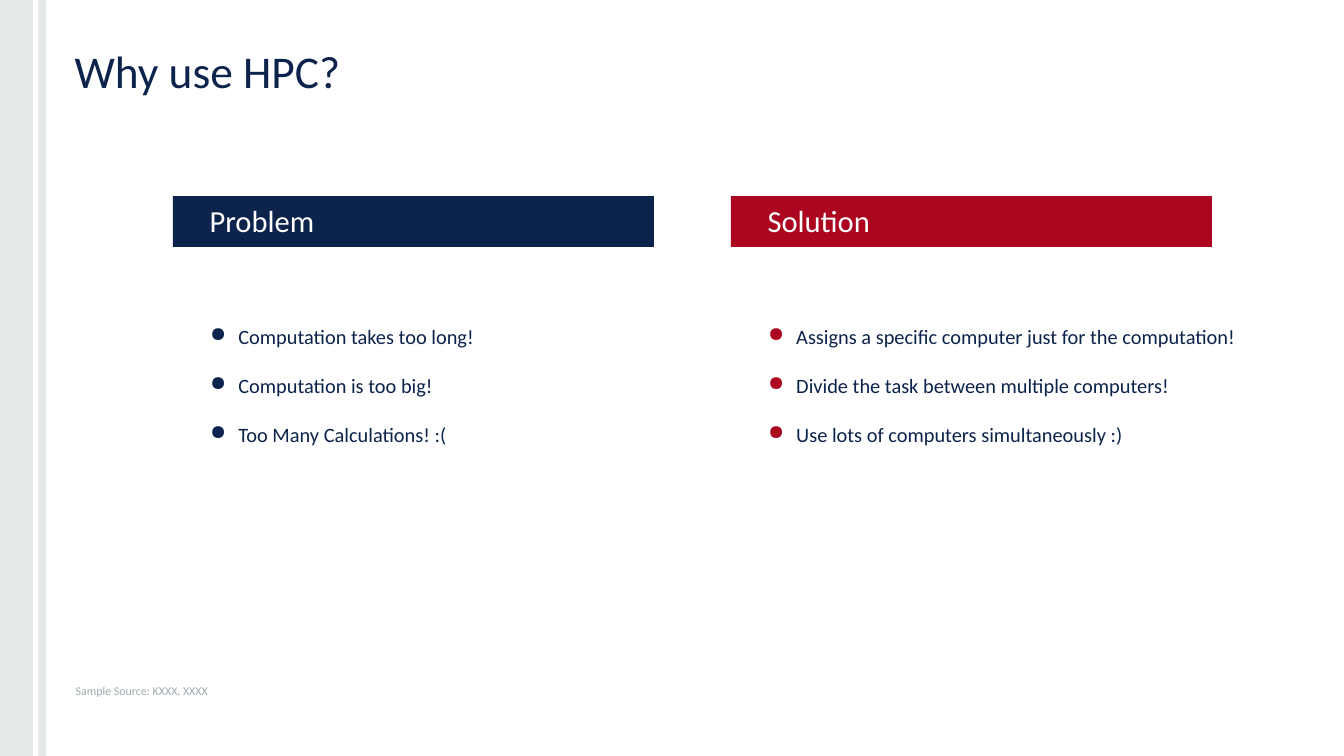
from lxml import etree
from pptx import Presentation
from pptx.dml.color import RGBColor
from pptx.enum import shapes, text
from pptx.oxml.ns import qn
from pptx.util import Inches, Pt

NAVY = RGBColor(0x0C, 0x23, 0x4B)
RED = RGBColor(0xAB, 0x05, 0x20)
GREY = RGBColor(0x9E, 0xAB, 0xAE)
WHITE = RGBColor(0xFF, 0xFF, 0xFF)

SLIDE_WIDTH, SLIDE_HEIGHT = 21.99, 12.37
HEADER_HEIGHT = 0.83

PROBLEMS = [
    "Computation takes too long!",
    "Computation is too big!",
    "Too Many Calculations! :(",
]
SOLUTIONS = [
    "Assigns a specific computer just for the computation!",
    "Divide the task between multiple computers!",
    "Use lots of computers simultaneously :)",
]


def add_bullet(properties, color):
    bullet_color = etree.SubElement(properties, qn("a:buClr"))
    etree.SubElement(bullet_color, qn("a:srgbClr"), val=str(color))
    etree.SubElement(properties, qn("a:buChar"), char="●")


def write_text(shape, lines, size, color=NAVY, anchor=text.MSO_ANCHOR.TOP,
               left_indent=0, hanging=0, line_spacing=None, bullet_color=None):
    """Fill a shape with one paragraph per line, all in the same format."""
    frame = shape.text_frame
    frame.word_wrap = True
    frame.auto_size = text.MSO_AUTO_SIZE.NONE
    frame.vertical_anchor = anchor
    frame.margin_left = frame.margin_right = Inches(0.1)
    frame.margin_top = frame.margin_bottom = Inches(0.1)
    frame.text = "\n".join(lines)
    for paragraph in frame.paragraphs:
        paragraph.alignment = text.PP_ALIGN.LEFT
        if line_spacing:
            paragraph.line_spacing = line_spacing
        font = paragraph.runs[0].font
        font.name, font.size = "Calibri", Pt(size)
        font.color.rgb = color
        properties = paragraph._p.get_or_add_pPr()
        properties.set("marL", str(Inches(left_indent)))
        properties.set("indent", str(Inches(-hanging)))
        if bullet_color is not None:
            add_bullet(properties, bullet_color)


def add_bar(slide, left, top, width, height, color, opacity=None):
    bar = slide.shapes.add_shape(
        shapes.MSO_SHAPE.RECTANGLE,
        Inches(left), Inches(top), Inches(width), Inches(height))
    bar.shadow.inherit = False
    bar.line.fill.background()
    bar.fill.solid()
    bar.fill.fore_color.rgb = color
    if opacity is not None:
        rgb = bar.fill._xPr.find(".//" + qn("a:srgbClr"))
        etree.SubElement(rgb, qn("a:alpha"), val=str(opacity * 1000))
    return bar


def add_text_box(slide, left, top, width, height, lines, **style):
    box = slide.shapes.add_textbox(
        Inches(left), Inches(top), Inches(width), Inches(height))
    write_text(box, lines, **style)


def add_side_stripes(slide, left, top, height):
    add_bar(slide, left, top, 0.76, height, GREY, opacity=25)
    add_bar(slide, left + 0.54, top, 0.08, height, WHITE)


def place_title(slide, left, top, width, height):
    title = slide.shapes.title
    title.left, title.top = Inches(left), Inches(top)
    title.width, title.height = Inches(width), Inches(height)
    write_text(title, ["Why use HPC?"], size=53.5, anchor=text.MSO_ANCHOR.MIDDLE)


def add_column(slide, left, top, body_width, heading, points, accent):
    header = add_bar(slide, left, top, 7.87, HEADER_HEIGHT, accent)
    write_text(header, [heading], size=36, color=WHITE, left_indent=0.5)
    add_text_box(slide, left + 0.47, top + 1.59, body_width, 4.46, points,
                 size=24, left_indent=0.5, hanging=0.46,
                 line_spacing=2.0, bullet_color=accent)


def main():
    deck = Presentation()
    deck.slide_width, deck.slide_height = Inches(SLIDE_WIDTH), Inches(SLIDE_HEIGHT)
    slide = deck.slides.add_slide(deck.slide_layouts.get_by_name("Title Only"))

    add_side_stripes(slide, 0, 0, SLIDE_HEIGHT)
    place_title(slide, 1.12, 0.66, 19.75, 0.99)
    add_column(slide, 2.83, 3.21, 7.35, "Problem", PROBLEMS, NAVY)
    add_column(slide, 11.96, 3.21, 8.04, "Solution", SOLUTIONS, RED)
    add_text_box(slide, 1.14, 11.09, 13.68, 0.47, ["Sample Source: KXXX, XXXX"],
                 size=14, color=GREY)

    deck.save("out.pptx")


if __name__ == "__main__":
    main()
